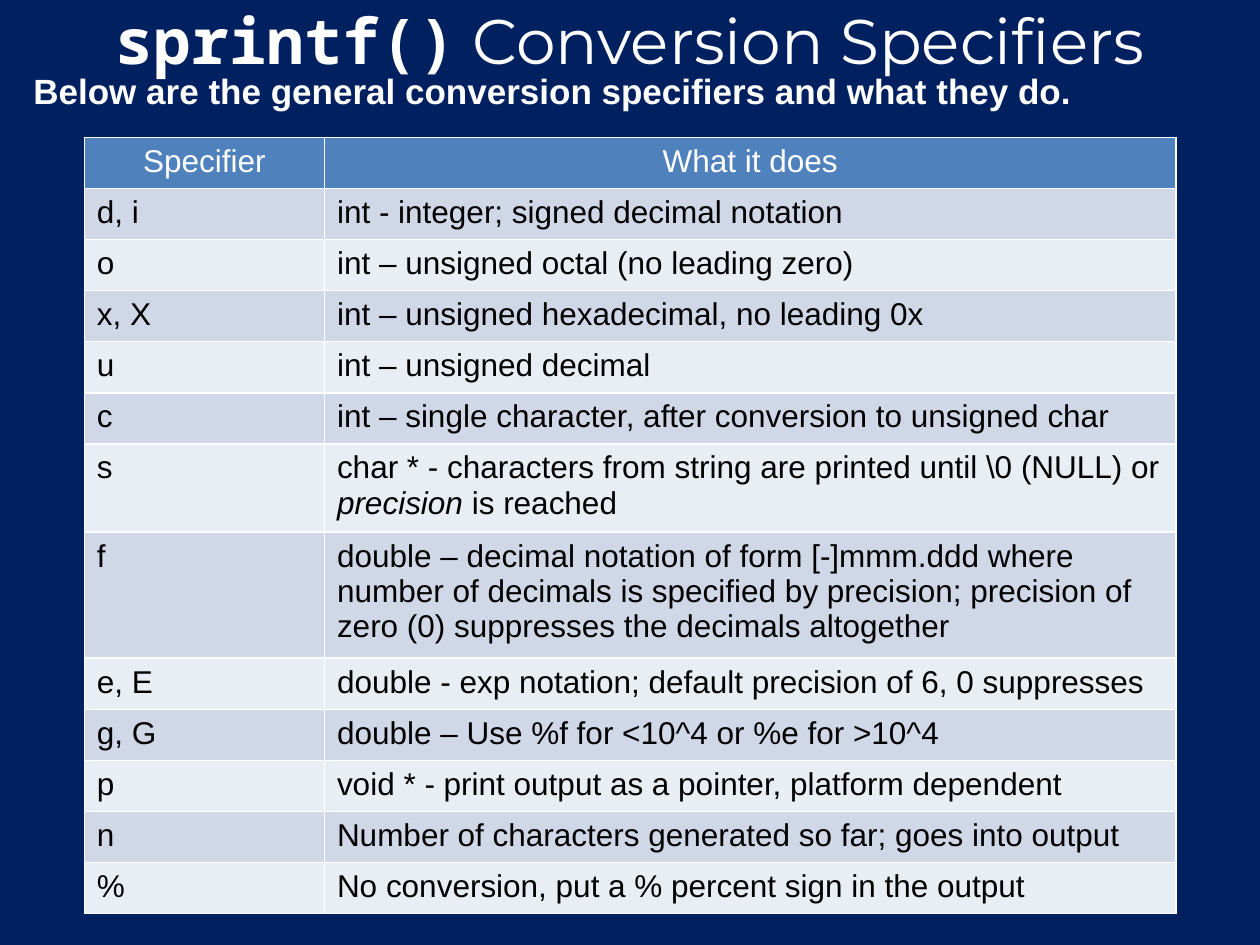
from lxml.etree import SubElement
from pptx import Presentation
from pptx.dml.color import RGBColor
from pptx.enum.text import MSO_ANCHOR, PP_ALIGN
from pptx.oxml.ns import qn
from pptx.util import Pt

NAVY = RGBColor(0x00, 0x20, 0x60)
WHITE = RGBColor(0xFF, 0xFF, 0xFF)
BLACK = RGBColor(0x00, 0x00, 0x00)
HEADER_BLUE = RGBColor(0x4F, 0x81, 0xBD)
BAND_DARK = RGBColor(0xD0, 0xD8, 0xE8)
BAND_LIGHT = RGBColor(0xE9, 0xED, 0xF4)

HEADINGS = ("Specifier", "What it does")
SPECIFIERS = [
    ("d, i", "int - integer; signed decimal notation"),
    ("o", "int – unsigned octal (no leading zero)"),
    ("x, X", "int – unsigned hexadecimal, no leading 0x"),
    ("u", "int – unsigned decimal"),
    ("c", "int – single character, after conversion to unsigned char"),
    ("s", [("char * - characters from string are printed until \\0 (NULL) or ", {}),
           ("precision", {"italic": True}),
           (" is reached", {})]),
    ("f", "double – decimal notation of form [-]mmm.ddd where number of decimals "
          "is specified by precision; precision of zero (0) suppresses the decimals altogether"),
    ("e, E", "double - exp notation; default precision of 6, 0 suppresses"),
    ("g, G", "double – Use %f for <10^4 or %e for >10^4"),
    ("p", "void * - print output as a pointer, platform dependent"),
    ("n", "Number of characters generated so far; goes into output"),
    ("%", "No conversion, put a % percent sign in the output"),
]
COLUMN_WIDTHS = (137.2, 486.5)
ROW_HEIGHT = 29.2


def write_text(frame, text, align=PP_ALIGN.LEFT, size=18, color=BLACK, name="Arial", bold=False):
    paragraph = frame.paragraphs[0]
    paragraph.alignment = align
    pieces = [(text, {})] if isinstance(text, str) else text
    for words, changes in pieces:
        span = paragraph.add_run()
        span.text = words
        span.font.size = Pt(size)
        span.font.color.rgb = color
        span.font.name = changes.get("name", name)
        span.font.bold = changes.get("bold", bold)
        span.font.italic = changes.get("italic", False)


def add_text_box(page, left, top, width, height, text, anchor=MSO_ANCHOR.TOP, **text_format):
    box = page.shapes.add_textbox(Pt(left), Pt(top), Pt(width), Pt(height))
    box.text_frame.word_wrap = True
    box.text_frame.vertical_anchor = anchor
    write_text(box.text_frame, text, **text_format)


def add_borders(cell, color, width):
    properties = cell._tc.get_or_add_tcPr()
    for position, side in enumerate(("a:lnL", "a:lnR", "a:lnT", "a:lnB")):
        line = SubElement(properties, qn(side), w=str(Pt(width)))
        fill = SubElement(line, qn("a:solidFill"))
        SubElement(fill, qn("a:srgbClr"), val=str(color))
        properties.insert(position, line)


def add_specifier_table(page, left, top):
    rows = [HEADINGS, *SPECIFIERS]
    frame = page.shapes.add_table(
        len(rows), len(HEADINGS), Pt(left), Pt(top),
        Pt(sum(COLUMN_WIDTHS)), Pt(ROW_HEIGHT * len(rows)))
    table = frame.table
    for column, width in zip(table.columns, COLUMN_WIDTHS):
        column.width = Pt(width)
    for row_number, texts in enumerate(rows):
        table.rows[row_number].height = Pt(ROW_HEIGHT)
        if row_number == 0:
            background, text_format = HEADER_BLUE, {"align": PP_ALIGN.CENTER, "color": WHITE}
        else:
            background, text_format = (BAND_DARK if row_number % 2 else BAND_LIGHT), {}
        for column_number, text in enumerate(texts):
            cell = table.cell(row_number, column_number)
            cell.fill.solid()
            cell.fill.fore_color.rgb = background
            add_borders(cell, WHITE, 1)
            write_text(cell.text_frame, text, **text_format)


def main():
    deck = Presentation()
    deck.slide_width, deck.slide_height = Pt(720), Pt(540)
    page = deck.slides.add_slide(deck.slide_layouts[6])
    page.background.fill.solid()
    page.background.fill.fore_color.rgb = NAVY

    title = [("sprintf()", {"name": "Noto Sans Mono", "bold": True}),
             (" Conversion Specifiers", {})]
    add_text_box(page, 36, 6, 648, 32.4, title, anchor=MSO_ANCHOR.MIDDLE,
                 align=PP_ALIGN.CENTER, size=36, color=WHITE, name="Montserrat")
    add_text_box(page, 12, 36, 684, 44.6,
                 "Below are the general conversion specifiers and what they do.",
                 size=20, color=WHITE, bold=True)
    add_specifier_table(page, 48.2, 78.5)
    deck.save("out.pptx")


if __name__ == "__main__":
    main()
